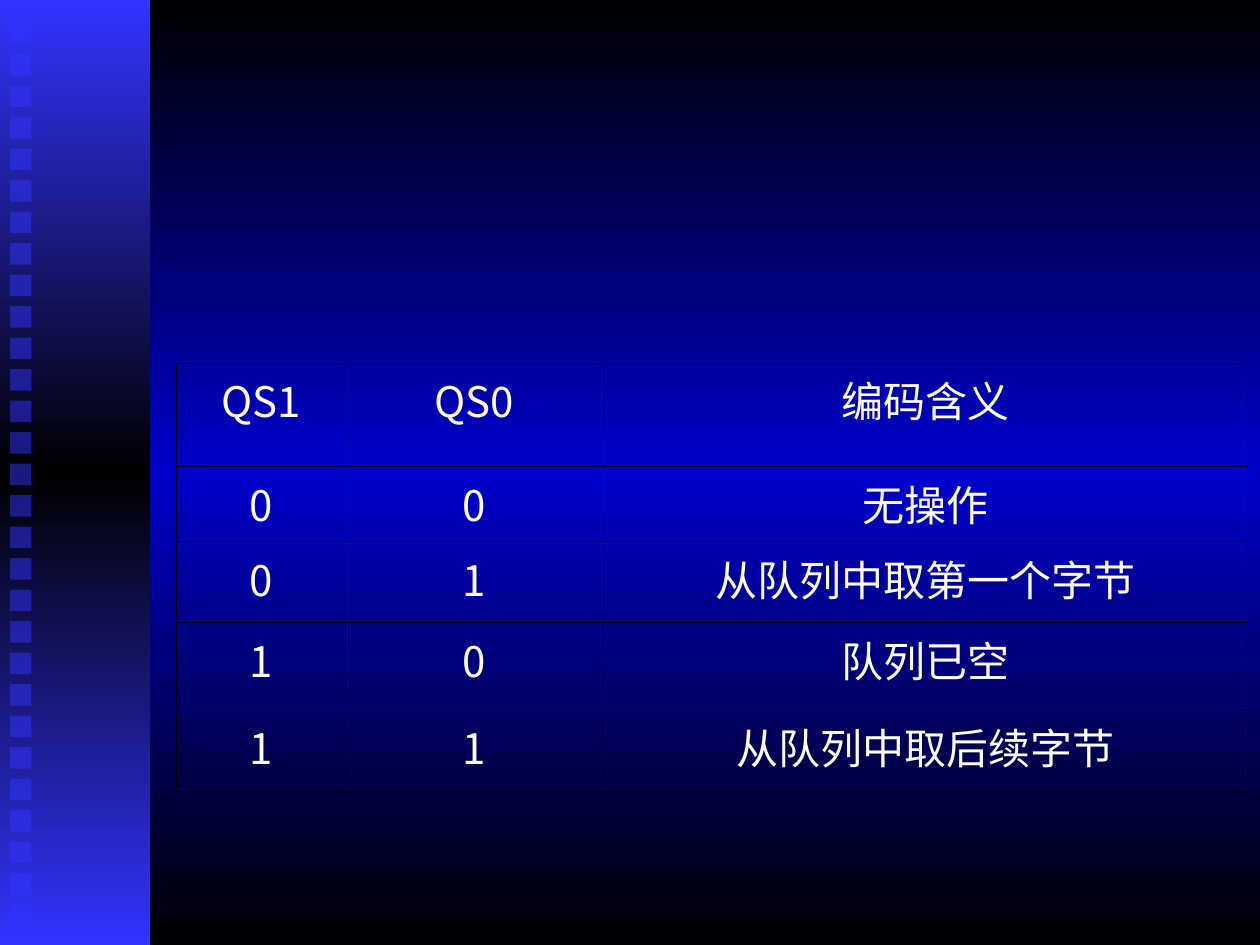
from copy import deepcopy
from typing import NamedTuple

from pptx import Presentation
from pptx.dml.color import RGBColor
from pptx.enum.shapes import MSO_SHAPE
from pptx.enum.text import PP_ALIGN
from pptx.oxml.ns import qn
from pptx.util import Inches, Pt
from lxml import etree

RECTANGLE = MSO_SHAPE.RECTANGLE
CENTER = PP_ALIGN.CENTER
FONT = "Noto Sans CJK SC"
COLORS = {"edge": "000000", "glow": "0000CC", "band": "3333FF", "text": "FFFFFF"}

SQUARE_COUNT = 29
SQUARE_PITCH = 0.25
COLUMN_WIDTHS = (1.34, 2.05, 5.11)


class CodeRow(NamedTuple):
    height: float
    texts: tuple[str, str, str]


CODE_ROWS = (
    CodeRow(0.82, ("QS1", "QS0", "编码含义")),
    CodeRow(0.6, ("0", "0", "无操作")),
    CodeRow(0.64, ("0", "1", "从队列中取第一个字节")),
    CodeRow(0.69, ("1", "0", "队列已空")),
    CodeRow(0.65, ("1", "1", "从队列中取后续字节")),
)


def color(name: str) -> RGBColor:
    return RGBColor.from_string(COLORS[name])


def set_mirrored_gradient(fill, element, outer: str, middle: str) -> None:
    """Fill from top to bottom: outer, middle, outer; element holds the fill."""
    fill.gradient()
    fill.gradient_angle = 270
    stop_list = next(element.iter(qn("a:gsLst")))
    stop_list.append(deepcopy(stop_list[-1]))
    for index, name in enumerate((outer, middle, outer)):
        stop = fill.gradient_stops[index]
        stop.position = index / 2
        stop.color.rgb = color(name)


def add_rectangle(slide, left: float, top: float, width: float, height: float):
    shape = slide.shapes.add_shape(
        RECTANGLE, Inches(left), Inches(top), Inches(width), Inches(height)
    )
    shape.shadow.inherit = False
    shape.line.fill.background()
    return shape


def add_side_band(slide) -> None:
    band = add_rectangle(slide, 0, 0, 1.19, 7.5)
    set_mirrored_gradient(band.fill, band.element.spPr, "band", "edge")
    for index in range(SQUARE_COUNT):
        square = add_rectangle(slide, 0.08, 0.18 + index * SQUARE_PITCH, 0.17, 0.17)
        square.fill.solid()
        square.fill.fore_color.rgb = color("band")
        fill_color = next(square.element.spPr.iter(qn("a:srgbClr")))
        etree.SubElement(fill_color, qn("a:alpha"), val="50000")


def set_borders(cell) -> None:
    properties = cell._tc.get_or_add_tcPr()
    for index, side in enumerate(("lnL", "lnR", "lnT", "lnB")):
        line = etree.Element(qn(f"a:{side}"), w=str(Pt(0.45)))
        fill = etree.SubElement(line, qn("a:solidFill"))
        etree.SubElement(fill, qn("a:srgbClr"), val=COLORS["edge"])
        properties.insert(index, line)


def write_cell(cell, text: str) -> None:
    cell.fill.background()
    set_borders(cell)
    paragraph = cell.text_frame.paragraphs[0]
    paragraph.alignment = CENTER
    properties = paragraph._p.get_or_add_pPr()
    properties.set("marL", str(Inches(0.38)))
    properties.set("indent", str(Inches(-0.38)))
    run = paragraph.add_run()
    run.text = text
    run.font.size = Pt(24)
    run.font.bold = False
    run.font.color.rgb = color("text")
    run.font.name = FONT
    etree.SubElement(run._r.get_or_add_rPr(), qn("a:ea"), typeface=FONT)


def add_code_table(slide) -> None:
    height = sum(row.height for row in CODE_ROWS)
    table = slide.shapes.add_table(
        len(CODE_ROWS), len(COLUMN_WIDTHS),
        Inches(1.4), Inches(2.88), Inches(sum(COLUMN_WIDTHS)), Inches(height),
    ).table
    table.first_row = False
    table.horz_banding = False
    for column, width in zip(table.columns, COLUMN_WIDTHS):
        column.width = Inches(width)
    for table_row, code_row in zip(table.rows, CODE_ROWS):
        table_row.height = Inches(code_row.height)
        for cell, text in zip(table_row.cells, code_row.texts):
            write_cell(cell, text)


def main() -> None:
    presentation = Presentation()
    presentation.slide_width = Inches(10)
    presentation.slide_height = Inches(7.5)
    slide = presentation.slides.add_slide(presentation.slide_layouts[6])
    background_fill = slide.background.fill
    set_mirrored_gradient(background_fill, slide.element, "edge", "glow")
    add_side_band(slide)
    add_code_table(slide)
    presentation.save("out.pptx")


if __name__ == "__main__":
    main()
